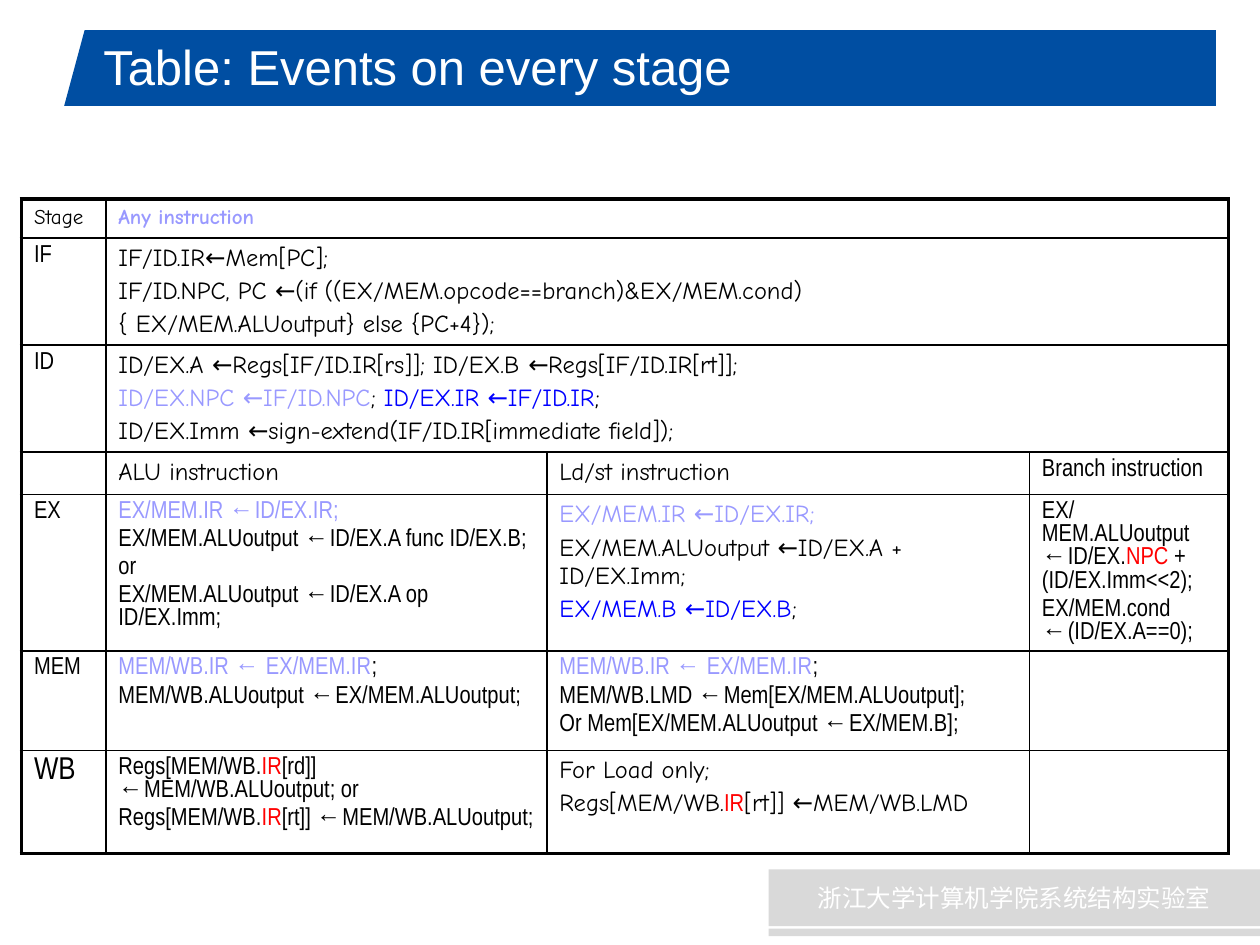
from lxml.etree import SubElement
from pptx import Presentation
from pptx.dml.color import RGBColor
from pptx.enum.shapes import MSO_SHAPE
from pptx.enum.text import MSO_ANCHOR, MSO_AUTO_SIZE, PP_ALIGN
from pptx.oxml.ns import qn
from pptx.util import Inches, Pt

THEME = {
    "black": "000000", "white": "FFFFFF", "lilac": "9999FF", "blue": "0000FF",
    "red": "FF0000", "banner": "004EA2", "footer": "D9D9D9",
    "sans": "Arial", "narrow": "Arial Narrow", "comic": "Comic Neue",
    "chinese": "Noto Sans CJK SC",
    "title": 28, "stage": 18, "body": 14, "header": 12,
    "thick": 2.25, "thin": 1, "paragraph gap": 2.8,
}

TITLE = "Table: Events on every stage"
FOOTER = "浙江大学计算机学院系统结构实验室"

# (shape, left, top, width, height, colour)
BARS = [
    (MSO_SHAPE.TRAPEZOID, 0.51, 0.24, 4.06, 0.6, "banner"),
    (MSO_SHAPE.RECTANGLE, 3.82, 0.24, 5.83, 0.6, "banner"),
    (MSO_SHAPE.RECTANGLE, 4.85, 0.79, 4.8, 0.05, "banner"),
    (MSO_SHAPE.RECTANGLE, 6.1, 6.9, 3.9, 0.45, "footer"),
    (MSO_SHAPE.RECTANGLE, 6.1, 7.37, 3.9, 0.06, "footer"),
]
FOOTER_BAR = 3

TABLE_LEFT, TABLE_TOP = 0.17, 1.58
COLUMN_WIDTHS = [0.67, 3.5, 3.83, 1.58]
ROW_HEIGHTS = [0.31, 0.63, 0.64, 0.28, 1.08, 0.79, 0.82]

# A cell is (font, size, paragraphs); a paragraph is a string or a list of
# strings and (text, colour[, font]) runs. A row of two cells spans the rest.
EMPTY = ("narrow", "body", [""])
FORWARD_IR = [("MEM/WB.IR ← EX/MEM.IR", "lilac"), ";"]
ROWS = [
    [("comic", "header", ["Stage"]),
     ("comic", "header", [[("Any instruction", "lilac")]])],
    [("narrow", "body", ["IF"]),
     ("comic", "body", [
         "IF/ID.IR←Mem[PC];",
         "IF/ID.NPC, PC ←(if ((EX/MEM.opcode==branch)&EX/MEM.cond)",
         "{ EX/MEM.ALUoutput} else {PC+4});"])],
    [("narrow", "body", ["ID"]),
     ("comic", "body", [
         "ID/EX.A ←Regs[IF/ID.IR[rs]]; ID/EX.B ←Regs[IF/ID.IR[rt]];",
         [("ID/EX.NPC ←IF/ID.NPC", "lilac"), "; ",
          ("ID/EX.IR ←IF/ID.IR", "blue"), ";"],
         "ID/EX.Imm ←sign-extend(IF/ID.IR[immediate field]);"])],
    [EMPTY,
     ("comic", "body", ["ALU instruction"]),
     ("comic", "body", ["Ld/st instruction"]),
     ("narrow", "body", ["Branch instruction"])],
    [("narrow", "body", ["EX"]),
     ("narrow", "body", [
         [("EX/MEM.IR ←ID/EX.IR;", "lilac")],
         "EX/MEM.ALUoutput ←ID/EX.A func ID/EX.B;",
         "or",
         "EX/MEM.ALUoutput ←ID/EX.A op ID/EX.Imm;"]),
     ("comic", "body", [
         [("EX/MEM.IR ←ID/EX.IR;", "lilac")],
         "EX/MEM.ALUoutput ←ID/EX.A + ID/EX.Imm;",
         [("EX/MEM.B ←ID/EX.B", "blue"), ";"]]),
     ("narrow", "body", [
         ["EX/MEM.ALUoutput ←ID/EX.", ("NPC", "red"), " + (ID/EX.Imm<<2);"],
         "EX/MEM.cond ←(ID/EX.A==0);"])],
    [("narrow", "body", ["MEM"]),
     ("narrow", "body", [FORWARD_IR, "MEM/WB.ALUoutput ←EX/MEM.ALUoutput;"]),
     ("narrow", "body", [
         FORWARD_IR,
         "MEM/WB.LMD ←Mem[EX/MEM.ALUoutput];",
         "Or Mem[EX/MEM.ALUoutput ←EX/MEM.B];"]),
     EMPTY],
    [("narrow", "stage", ["WB"]),
     ("narrow", "body", [
         ["Regs[MEM/WB.", ("IR", "red"), "[rd]] ←MEM/WB.ALUoutput; or"],
         ["Regs[MEM/WB.", ("IR", "red"), "[rt]] ←MEM/WB.ALUoutput;"]]),
     ("comic", "body", [
         "For Load only;",
         ["Regs[MEM/WB.", ("IR", "red", "narrow"), "[rt]] ←MEM/WB.LMD"]]),
     EMPTY],
]
BOLD_TEXTS = {"Any instruction"}


def colour(name):
    return RGBColor.from_string(THEME[name])


def add_span(para, text, font, size, ink):
    span = para.add_run()
    span.text = text
    span.font.name = THEME[font]
    span.font.size = Pt(THEME[size])
    span.font.bold = text in BOLD_TEXTS
    span.font.color.rgb = colour(ink)
    return span


def fill_text(frame, font, size, paragraphs):
    for index, content in enumerate(paragraphs):
        para = frame.add_paragraph() if index else frame.paragraphs[0]
        if index:
            para.space_before = Pt(THEME["paragraph gap"])
        if not content:
            # An empty cell keeps the body size so that its row stays low.
            SubElement(para._p, qn("a:endParaRPr"), sz=str(THEME[size] * 100))
            continue
        for part in [content] if isinstance(content, str) else content:
            text, ink, face = part if len(part) == 3 and isinstance(part, tuple) else (
                (*part, font) if isinstance(part, tuple) else (part, "black", font))
            add_span(para, text, face, size, ink)


def set_borders(cell, outer):
    """Draw all four sides, thick where the side is in outer."""
    properties = cell._tc.get_or_add_tcPr()
    for side in "LRTB":
        width = THEME["thick" if side in outer else "thin"]
        line = SubElement(properties, qn(f"a:ln{side}"), w=str(Pt(width)))
        fill = SubElement(line, qn("a:solidFill"))
        SubElement(fill, qn("a:srgbClr"), val=THEME["black"])


def add_bars(page):
    bars = []
    for kind, left, top, width, height, ink in BARS:
        bar = page.shapes.add_shape(
            kind, Inches(left), Inches(top), Inches(width), Inches(height))
        bar.shadow.inherit = False
        bar.fill.solid()
        bar.fill.fore_color.rgb = colour(ink)
        bar.line.fill.background()
        bars.append(bar)
    bars[0].adjustments[0] = 0.27
    frame = bars[FOOTER_BAR].text_frame
    frame.vertical_anchor = MSO_ANCHOR.MIDDLE
    para = frame.paragraphs[0]
    para.alignment = PP_ALIGN.CENTER
    span = add_span(para, FOOTER, "chinese", "body", "white")
    SubElement(span.font._element, qn("a:ea"), typeface=THEME["chinese"])


def place_title(page):
    title = page.shapes.title
    title.element.getparent().append(title.element)  # in front of the bars
    title.left, title.top = Inches(0.72), Inches(0.25)
    title.width, title.height = Inches(8.64), Inches(0.55)
    frame = title.text_frame
    frame.auto_size = MSO_AUTO_SIZE.NONE
    frame.vertical_anchor = MSO_ANCHOR.MIDDLE
    frame.paragraphs[0].alignment = PP_ALIGN.LEFT
    add_span(frame.paragraphs[0], TITLE, "sans", "title", "white")


def add_stage_table(page):
    last_row, last_column = len(ROW_HEIGHTS) - 1, len(COLUMN_WIDTHS) - 1
    table = page.shapes.add_table(
        len(ROW_HEIGHTS), len(COLUMN_WIDTHS), Inches(TABLE_LEFT), Inches(TABLE_TOP),
        Inches(sum(COLUMN_WIDTHS)), Inches(sum(ROW_HEIGHTS))).table
    table.first_row = table.horz_banding = False
    for column, width in zip(table.columns, COLUMN_WIDTHS):
        column.width = Inches(width)
    for row, height in zip(table.rows, ROW_HEIGHTS):
        row.height = Inches(height)
    for r, cells in enumerate(ROWS):
        spans = len(cells) == 2
        if spans:
            table.cell(r, 1).merge(table.cell(r, last_column))
        for c in range(last_column + 1):
            cell = table.cell(r, c)
            edges = {"L": c == 0, "T": r == 0, "B": r == last_row,
                     "R": c == last_column or (spans and c > 0)}
            set_borders(cell, {side for side, outer in edges.items() if outer})
            cell.fill.solid()
            cell.fill.fore_color.rgb = colour("white")
            if c < len(cells):
                fill_text(cell.text_frame, *cells[c])


def main():
    deck = Presentation()
    deck.slide_width, deck.slide_height = Inches(10), Inches(7.5)
    page = deck.slides.add_slide(deck.slide_layouts[5])
    add_bars(page)
    place_title(page)
    add_stage_table(page)
    deck.save("out.pptx")


if __name__ == "__main__":
    main()
